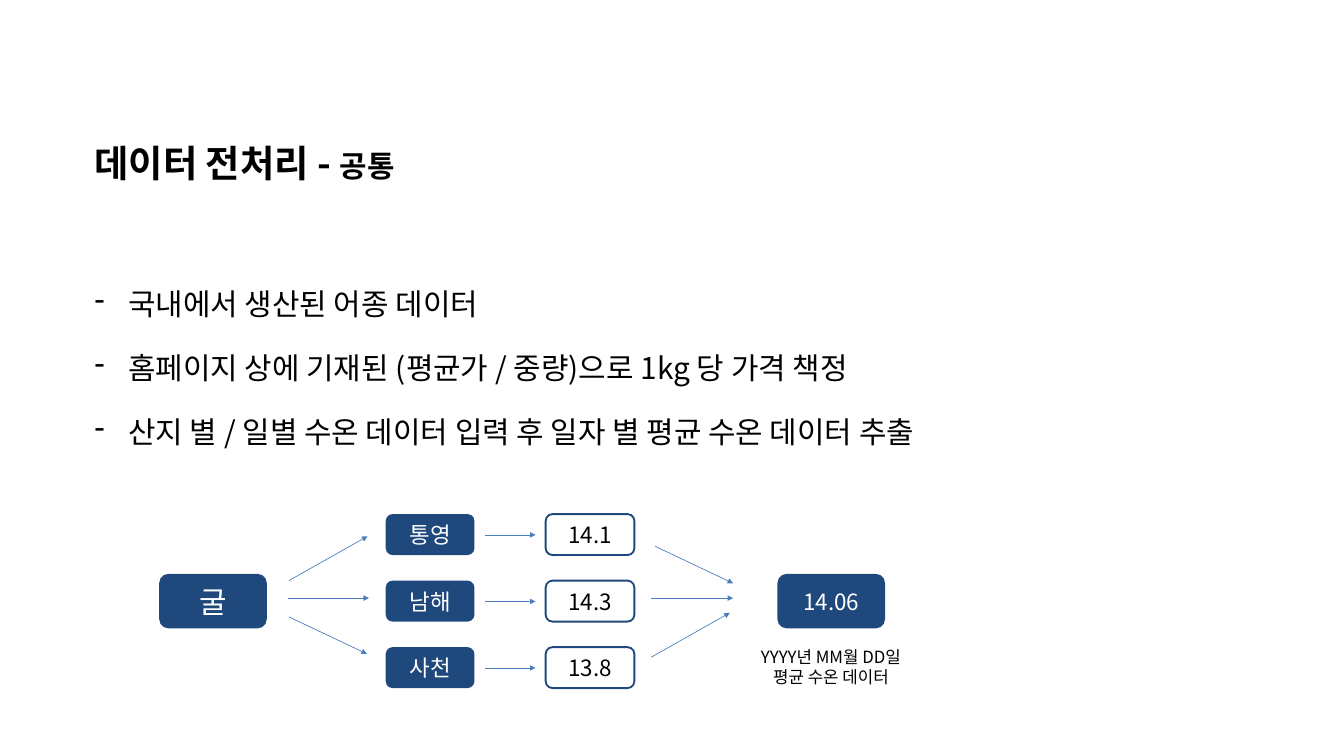
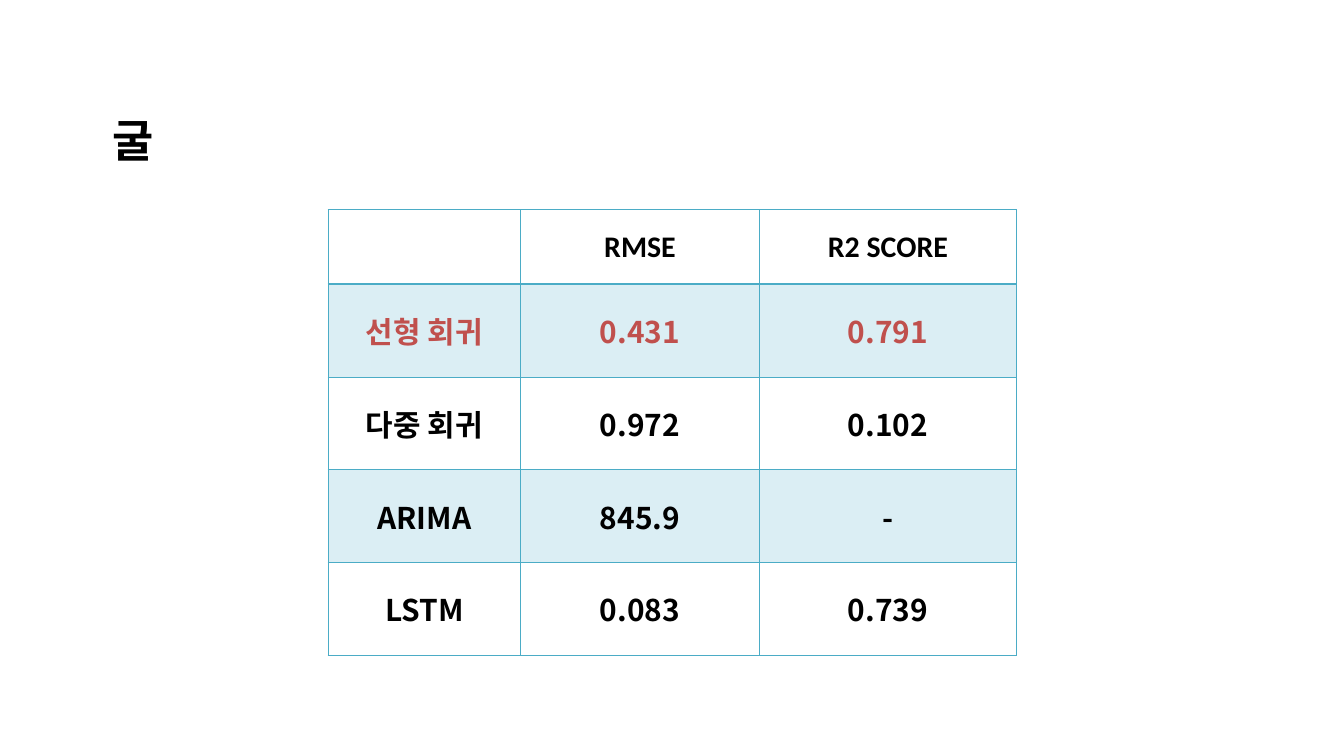
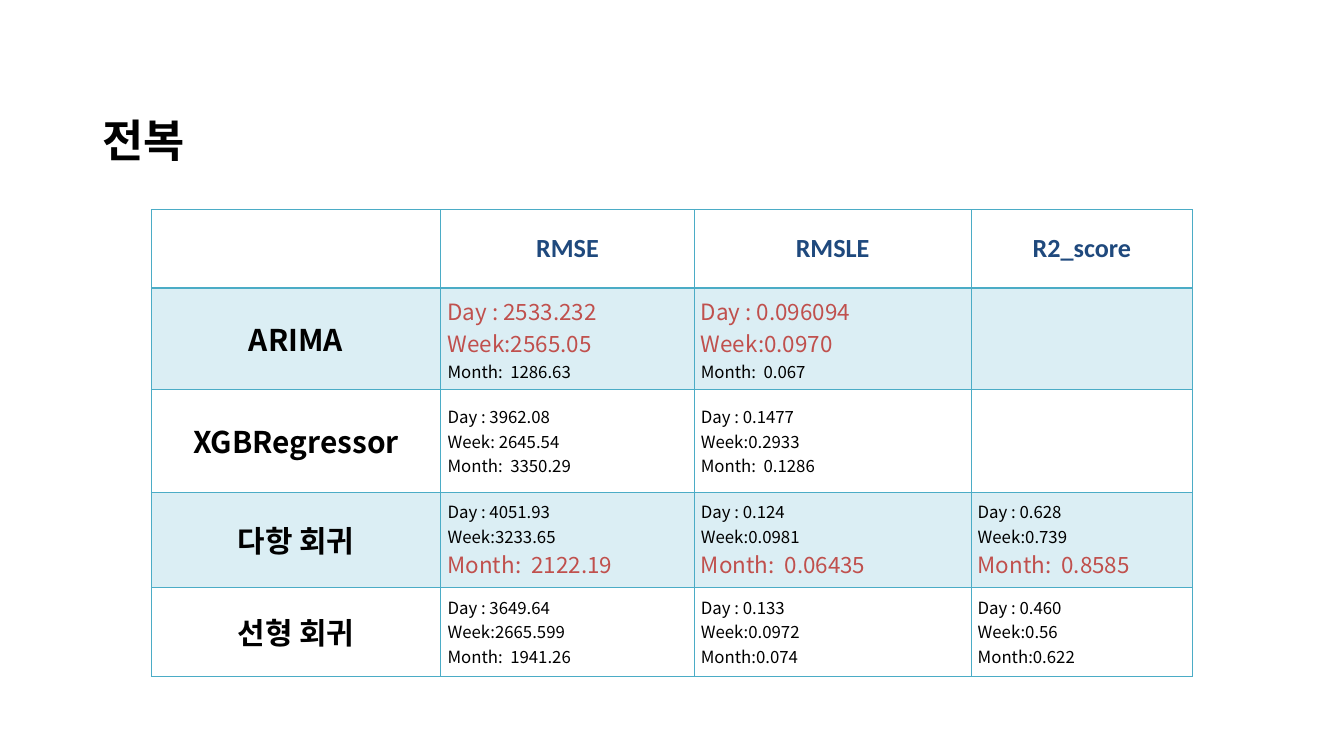
from lxml import etree
from pptx import Presentation
from pptx.dml.color import RGBColor
from pptx.enum.shapes import MSO_CONNECTOR, MSO_SHAPE
from pptx.enum.text import MSO_ANCHOR, PP_ALIGN
from pptx.oxml.ns import qn
from pptx.util import Inches, Pt

ROUNDED = MSO_SHAPE.ROUNDED_RECTANGLE
STRAIGHT = MSO_CONNECTOR.STRAIGHT
MIDDLE, TOP = MSO_ANCHOR.MIDDLE, MSO_ANCHOR.TOP
LEFT, CENTER = PP_ALIGN.LEFT, PP_ALIGN.CENTER

COLORS = {
    "ink": "000000",
    "white": "FFFFFF",
    "navy": "1F497D",
    "arrow": "4B7EBC",
    "grid": "4BACC6",
    "band": "DBEEF4",
    "best": "C0504D",
}
BODY_FONT = "Noto Sans CJK KR"
HEADER_FONT = "Calibri"

REGIONS = [("통영", "14.1"), ("남해", "14.3"), ("사천", "13.8")]
OYSTER_SCORES = [
    ("선형 회귀", "0.431", "0.791"),
    ("다중 회귀", "0.972", "0.102"),
    ("ARIMA", "845.9", "-"),
    ("LSTM", "0.083", "0.739"),
]
ABALONE_SCORES = [
    ("ARIMA",
     ("Day : 2533.232", "Week:2565.05", "Month:  1286.63"),
     ("Day : 0.096094", "Week:0.0970", "Month:  0.067"),
     ()),
    ("XGBRegressor",
     ("Day : 3962.08", "Week: 2645.54", "Month:  3350.29"),
     ("Day : 0.1477", "Week:0.2933", "Month:  0.1286"),
     ()),
    ("다항 회귀",
     ("Day : 4051.93", "Week:3233.65", "Month:  2122.19"),
     ("Day : 0.124", "Week:0.0981", "Month:  0.06435"),
     ("Day : 0.628", "Week:0.739", "Month:  0.8585")),
    ("선형 회귀",
     ("Day : 3649.64", "Week:2665.599", "Month:  1941.26"),
     ("Day : 0.133", "Week:0.0972", "Month:0.074"),
     ("Day : 0.460", "Week:0.56", "Month:0.622")),
]
BEST_PERIODS = {"ARIMA": ("Day", "Week"), "다항 회귀": ("Month",)}


def rgb(name):
    return RGBColor.from_string(COLORS[name])


def add_span(para, text, size, color="ink", bold=False, font=BODY_FONT):
    span = para.add_run()
    span.text = text
    for name, value in {"size": Pt(size), "bold": bold, "name": font}.items():
        setattr(span.font, name, value)
    span.font.color.rgb = rgb(color)
    etree.SubElement(span.font._element, qn("a:ea"), typeface=font)


def write_lines(frame, lines, align=LEFT, **paragraph_format):
    """Write one paragraph per line; a line is a list of span format dicts."""
    for index, spans in enumerate(lines):
        para = frame.add_paragraph() if index else frame.paragraphs[0]
        para.alignment = align
        for name, value in paragraph_format.items():
            setattr(para, name, value)
        for span in spans:
            add_span(para, **span)


def add_text(page, left, top, width, height, anchor=MIDDLE):
    box = page.shapes.add_textbox(
        Inches(left), Inches(top), Inches(width), Inches(height))
    box.text_frame.word_wrap = True
    box.text_frame.vertical_anchor = anchor
    return box.text_frame


def add_title(page, left, top, width, spans, indent=0):
    frame = add_text(page, left, top, width, 0.59)
    write_lines(frame, [[dict(span, bold=True) for span in spans]])
    frame.paragraphs[0]._p.get_or_add_pPr().set("marL", str(Inches(indent)))


def add_bullets(page, left, top, width, height, items):
    frame = add_text(page, left, top, width, height)
    write_lines(frame, [[{"text": item, "size": 32}] for item in items])
    for index, para in enumerate(frame.paragraphs):
        properties = para._p.get_or_add_pPr()
        properties.set("marL", str(Inches(0.5)))
        properties.set("indent", str(Inches(-0.5)))
        etree.SubElement(properties, qn("a:buChar"), char="-")
        if index:
            para.space_before = Pt(30)


def add_node(page, left, top, width, height, text, size=24, filled=True):
    node = page.shapes.add_shape(
        ROUNDED, Inches(left), Inches(top), Inches(width), Inches(height))
    node.shadow.inherit = False
    if filled:
        node.fill.solid()
        node.fill.fore_color.rgb = rgb("navy")
        node.line.fill.background()
    else:
        node.fill.background()
        node.line.color.rgb = rgb("navy")
        node.line.width = Pt(2)
    node.text_frame.vertical_anchor = MIDDLE
    color = "white" if filled else "ink"
    write_lines(node.text_frame,
                [[{"text": text, "size": size, "color": color}]], CENTER)


def add_arrow(page, x1, y1, x2, y2):
    arrow = page.shapes.add_connector(
        STRAIGHT, Inches(x1), Inches(y1), Inches(x2), Inches(y2))
    arrow.line.color.rgb = rgb("arrow")
    arrow.line.width = Pt(0.75)
    etree.SubElement(arrow.line._get_or_add_ln(), qn("a:tailEnd"), type="triangle")
    etree.SubElement(arrow._element.spPr, qn("a:effectLst"))


def add_temperature_flow(page, left, top):
    """Species, its regions, their temperatures and the daily mean."""
    row_pitch = 0.99
    add_node(page, left, top + 0.89, 1.6, 0.81, "굴", size=32)
    for index, (region, temperature) in enumerate(REGIONS):
        row_top = top + index * row_pitch
        add_node(page, left + 3.37, row_top, 1.32, 0.61, region)
        add_node(page, left + 5.75, row_top, 1.32, 0.61, temperature, filled=False)
        add_arrow(page, left + 4.85, row_top + 0.31, left + 5.6, row_top + 0.31)
    add_node(page, left + 9.2, top + 0.89, 1.6, 0.81, "14.06")

    fan_out = [(1.93, 0.99, 3.1, 0.33), (1.91, 1.25, 3.12, 1.25),
               (1.93, 1.53, 3.09, 2.08)]
    fan_in = [(7.38, 0.48, 8.54, 1.03), (7.32, 1.25, 8.54, 1.25),
              (7.32, 2.13, 8.49, 1.47)]
    for x1, y1, x2, y2 in fan_out + fan_in:
        add_arrow(page, left + x1, top + y1, left + x2, top + y2)

    caption = add_text(page, left + 8.62, top + 1.92, 2.75, 0.71, TOP)
    lines = ["YYYY년 MM월 DD일", "평균 수온 데이터"]
    write_lines(caption, [[{"text": line, "size": 18}] for line in lines],
                CENTER, line_spacing=Pt(21.5))


def add_border(cell, side, width):
    border = etree.SubElement(
        cell._tc.get_or_add_tcPr(), qn(f"a:ln{side}"), w=str(Pt(width)))
    fill = etree.SubElement(border, qn("a:solidFill"))
    etree.SubElement(fill, qn("a:srgbClr"), val=COLORS["grid"])


def add_score_table(page, left, top, widths, heights, headers, header_format):
    """Add an empty banded grid with its header row and return the table."""
    table = page.shapes.add_table(
        len(heights), len(widths), Inches(left), Inches(top),
        Inches(sum(widths)), Inches(sum(heights))).table
    table.first_row = table.horz_banding = False
    for column, width in zip(table.columns, widths):
        column.width = Inches(width)
    for row_index, (row, height) in enumerate(zip(table.rows, heights)):
        row.height = Inches(height)
        for cell in row.cells:
            cell.vertical_anchor = MIDDLE
            add_border(cell, "L", 1)
            add_border(cell, "R", 1)
            add_border(cell, "T", 2 if row_index == 1 else 1)
            add_border(cell, "B", 1 if row_index else 2)
            if row_index % 2:
                cell.fill.solid()
                cell.fill.fore_color.rgb = rgb("band")
            else:
                cell.fill.background()
    for index, header in enumerate(headers, start=1):
        span = dict(header_format, text=header, bold=True, font=HEADER_FONT)
        write_lines(table.cell(0, index).text_frame, [[span]], CENTER)
    return table


def fill_bold_cell(cell, text, color="ink"):
    span = {"text": text, "size": 32, "bold": True, "color": color}
    write_lines(cell.text_frame, [[span]], CENTER)


def fill_period_cell(cell, lines, best_periods):
    spans = []
    for line in lines:
        best = line.split(":")[0].strip() in best_periods
        spans.append([{"text": line, "size": 24 if best else 18,
                       "color": "best" if best else "ink"}])
    write_lines(cell.text_frame, spans)


def build_preprocessing(page):
    add_title(page, 1.31, 2.12, 9.22, [
        {"text": "데이터 전처리 - ", "size": 40}, {"text": "공통", "size": 32}])
    add_bullets(page, 1.31, 3.07, 17.69, 4.8, [
        "국내에서 생산된 어종 데이터",
        "홈페이지 상에 기재된 (평균가 / 중량)으로 1kg 당 가격 책정",
        "산지 별 / 일별 수온 데이터 입력 후 일자 별 평균 수온 데이터 추출",
    ])
    add_temperature_flow(page, 2.37, 7.65)


def build_oyster_scores(page):
    add_title(page, 1.43, 1.78, 2.72, [{"text": "굴", "size": 48}], indent=0.15)
    table = add_score_table(
        page, 4.88, 3.12, [2.87, 3.55, 3.83], [1.11] + [1.38] * 4,
        ["RMSE", "R2 SCORE"], {"size": 32})
    for row_index, scores in enumerate(OYSTER_SCORES, start=1):
        color = "best" if row_index == 1 else "ink"
        for column_index, text in enumerate(scores):
            fill_bold_cell(table.cell(row_index, column_index), text, color)


def build_abalone_scores(page):
    add_title(page, 1.43, 1.78, 4.41, [{"text": "전복", "size": 48}])
    table = add_score_table(
        page, 2.25, 3.12, [4.31, 3.77, 4.12, 3.3], [1.17, 1.5, 1.54, 1.41, 1.32],
        ["RMSE", "RMSLE", "R2_score"], {"size": 28, "color": "navy"})
    for row_index, (model, *scores) in enumerate(ABALONE_SCORES, start=1):
        fill_bold_cell(table.cell(row_index, 0), model)
        for column_index, lines in enumerate(scores, start=1):
            fill_period_cell(table.cell(row_index, column_index), lines,
                             BEST_PERIODS.get(model, ()))


def main():
    deck = Presentation()
    deck.slide_width, deck.slide_height = Inches(20), Inches(11.25)
    for build in (build_preprocessing, build_oyster_scores, build_abalone_scores):
        build(deck.slides.add_slide(deck.slide_layouts[6]))
    deck.save("out.pptx")


if __name__ == "__main__":
    main()
